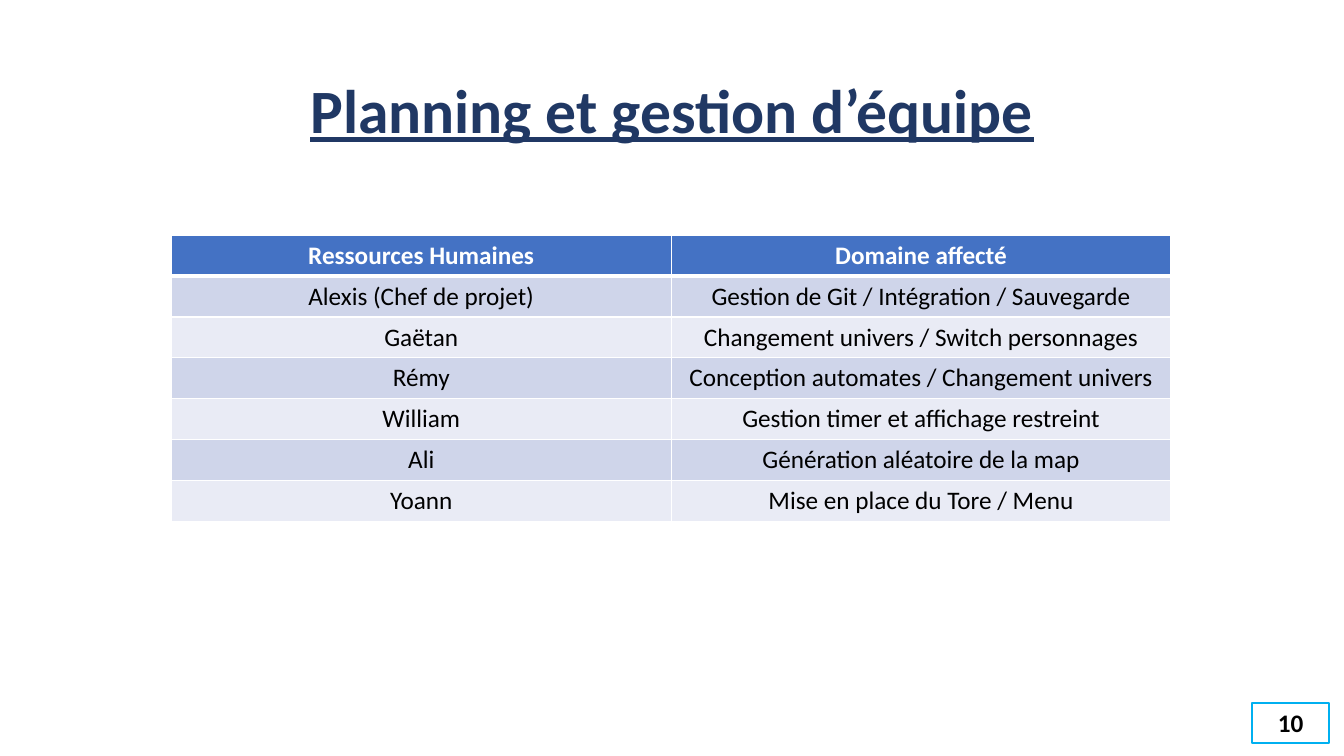
from dataclasses import dataclass

from lxml.etree import SubElement
from pptx import Presentation
from pptx.dml.color import RGBColor
from pptx.enum.shapes import MSO_SHAPE as Preset
from pptx.enum.text import MSO_ANCHOR as Anchor, PP_ALIGN as Align
from pptx.oxml.ns import qn
from pptx.slide import Slide
from pptx.table import _Cell as Cell
from pptx.text.text import TextFrame
from pptx.util import Inches, Pt

COLORS = {
    "title": "203864",
    "header": "4472C4",
    "odd_row": "CFD5EA",
    "even_row": "E9EBF5",
    "white": "FFFFFF",
    "black": "000000",
    "number_line": "00B0F0",
}
FONT = "Calibri"
GRID_COLUMNS, GRID_ROWS = 160, 90
SLIDE_WIDTH, SLIDE_HEIGHT = Inches(13.33), Inches(7.5)
THIN, THICK = 1, 3
HEADINGS = ("Ressources Humaines", "Domaine affecté")
ASSIGNMENTS = (
    ("Alexis (Chef de projet)", "Gestion de Git / Intégration / Sauvegarde"),
    ("Gaëtan", "Changement univers / Switch personnages"),
    ("Rémy", "Conception automates / Changement univers"),
    ("William", "Gestion timer et affichage restreint"),
    ("Ali", "Génération aléatoire de la map"),
    ("Yoann", "Mise en place du Tore / Menu"),
)


@dataclass(frozen=True)
class Area:
    column: float
    row: float
    columns: float
    rows: float

    def box(self) -> tuple[int, int, int, int]:
        across, down = SLIDE_WIDTH / GRID_COLUMNS, SLIDE_HEIGHT / GRID_ROWS
        return (
            int(self.column * across),
            int(self.row * down),
            int(self.columns * across),
            int(self.rows * down),
        )


@dataclass(frozen=True)
class Style:
    color: str
    size: int = 18
    bold: bool = False
    underline: bool = False
    line_spacing: float = 1.0


TITLE_AREA = Area(11, 4.8, 138, 17.4)
TABLE_AREA = Area(20.4, 28, 119, 34.08)
NUMBER_AREA = Area(149.1, 83.64, 9.12, 4.85)
TITLE_STYLE = Style("title", 44, True, True, 0.9)
HEADING_STYLE = Style("white", bold=True)
BODY_STYLE = Style("black")
NUMBER_STYLE = Style("black", bold=True)


def rgb(name: str) -> RGBColor:
    return RGBColor.from_string(COLORS[name])


def write(text_frame: TextFrame, text: str, style: Style) -> None:
    text_frame.text = text
    text_frame.word_wrap = True
    paragraph = text_frame.paragraphs[0]
    paragraph.alignment = Align.CENTER
    paragraph.line_spacing = style.line_spacing
    font = paragraph.runs[0].font
    font.name, font.size = FONT, Pt(style.size)
    font.bold, font.underline = style.bold, style.underline
    font.color.rgb = rgb(style.color)


def add_borders(cell: Cell, top: int, bottom: int) -> None:
    properties = cell._tc.get_or_add_tcPr()
    for side, width in (("L", THIN), ("R", THIN), ("T", top), ("B", bottom)):
        line = SubElement(properties, qn(f"a:ln{side}"), w=str(Pt(width)))
        fill = SubElement(line, qn("a:solidFill"))
        SubElement(fill, qn("a:srgbClr"), val=COLORS["white"])


def add_title(slide: Slide, text: str) -> None:
    text_frame = slide.shapes.add_textbox(*TITLE_AREA.box()).text_frame
    text_frame.vertical_anchor = Anchor.MIDDLE
    write(text_frame, text, TITLE_STYLE)


def add_assignment_table(slide: Slide) -> None:
    records = (HEADINGS, *ASSIGNMENTS)
    frame = slide.shapes.add_table(len(records), len(HEADINGS), *TABLE_AREA.box())
    for row, record in enumerate(records):
        is_header = row == 0
        fill = "header" if is_header else "odd_row" if row % 2 else "even_row"
        for column, text in enumerate(record):
            cell = frame.table.cell(row, column)
            add_borders(
                cell,
                top=THICK if row == 1 else THIN,
                bottom=THICK if is_header else THIN,
            )
            cell.fill.solid()
            cell.fill.fore_color.rgb = rgb(fill)
            write(cell.text_frame, text, HEADING_STYLE if is_header else BODY_STYLE)


def add_slide_number(slide: Slide, text: str) -> None:
    shape = slide.shapes.add_shape(Preset.RECTANGLE, *NUMBER_AREA.box())
    shape.shadow.inherit = False
    shape.fill.background()
    shape.line.color.rgb = rgb("number_line")
    shape.line.width = Pt(1.5)
    shape.text_frame.vertical_anchor = Anchor.TOP
    write(shape.text_frame, text, NUMBER_STYLE)


presentation = Presentation()
presentation.slide_width, presentation.slide_height = SLIDE_WIDTH, SLIDE_HEIGHT
slide = presentation.slides.add_slide(presentation.slide_layouts[6])
add_title(slide, "Planning et gestion d’équipe")
add_assignment_table(slide)
add_slide_number(slide, "10")
presentation.save("out.pptx")
